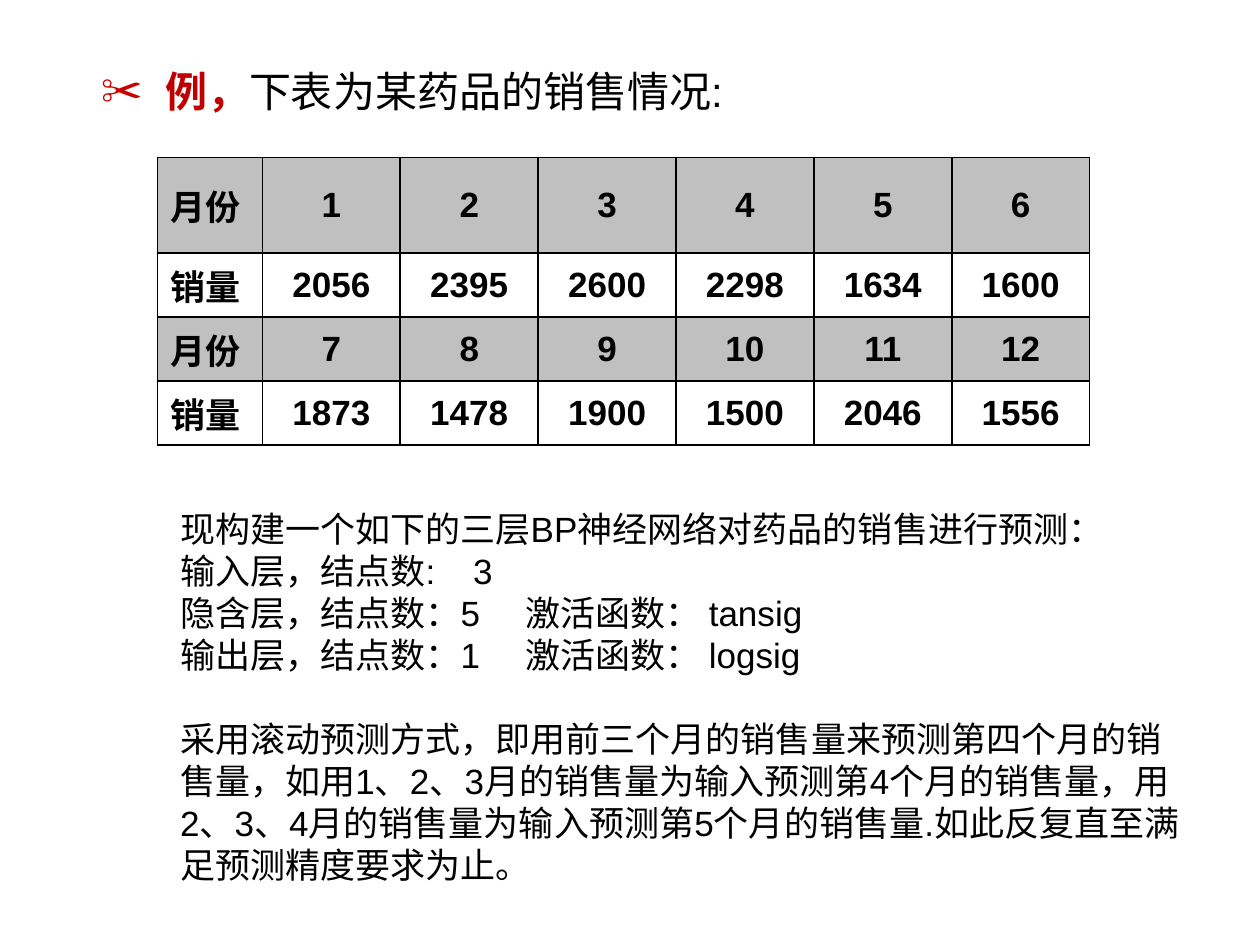
from lxml import etree
from pptx import Presentation
from pptx.dml.color import RGBColor
from pptx.enum.text import MSO_ANCHOR, MSO_AUTO_SIZE, PP_ALIGN
from pptx.oxml.ns import qn
from pptx.util import Pt

MIDDLE, TOP = MSO_ANCHOR.MIDDLE, MSO_ANCHOR.TOP
LEFT, CENTER = PP_ALIGN.LEFT, PP_ALIGN.CENTER
NO_FIT, GROW = MSO_AUTO_SIZE.NONE, MSO_AUTO_SIZE.SHAPE_TO_FIT_TEXT
COLORS = {"text": "000000", "accent": "C00000", "bullet": "CC0000",
          "header": "C0C0C0", "border": "000000"}


def add_text(p, text, size=20, color="text", bold=False):
    r = p.add_run()
    r.text = text
    r.font.name = "Arial"
    r.font.size = Pt(size)
    r.font.bold = bold
    r.font.color.rgb = RGBColor.from_string(COLORS[color])


def add_xml(parent, tag, **attributes):
    return etree.SubElement(parent, qn(tag), attributes)


prs = Presentation()
prs.slide_width, prs.slide_height = Pt(720), Pt(540)
s = prs.slides.add_slide(prs.slide_layouts[1])
title = s.shapes.title
title.element.getparent().remove(title.element)

# Heading with a scissors bullet
heading = s.placeholders[1]
heading.left, heading.top = Pt(50.4), Pt(39.6)
heading.width, heading.height = Pt(635.8), Pt(39.6)
tf = heading.text_frame
tf.auto_size = NO_FIT
tf.vertical_anchor = TOP
p = tf.paragraphs[0]
p.line_spacing = 0.8
p.space_before = Pt(12)
pPr = p._p.get_or_add_pPr()
pPr.set("marL", str(Pt(36.72)))
pPr.set("indent", str(Pt(-36.72)))
add_xml(add_xml(pPr, "a:buClr"), "a:srgbClr", val=COLORS["bullet"])
add_xml(pPr, "a:buFont", typeface="Arial")
add_xml(pPr, "a:buChar", char="✂")
add_text(p, "例，", size=24, color="accent", bold=True)
add_text(p, "下表为某药品的销售情况:", size=24)

# Monthly sales table
sales_rows = [
    ["月份", "1", "2", "3", "4", "5", "6"],
    ["销量", "2056", "2395", "2600", "2298", "1634", "1600"],
    ["月份", "7", "8", "9", "10", "11", "12"],
    ["销量", "1873", "1478", "1900", "1500", "2046", "1556"],
]
table = s.shapes.add_table(4, 7, Pt(90), Pt(90), Pt(532.8), Pt(164.4)).table
for i, column in enumerate(table.columns):
    column.width = Pt(78.8) if i else Pt(60)
for i, row in enumerate(table.rows):
    row.height = Pt(36.6) if i else Pt(54.6)

for i, values in enumerate(sales_rows):
    for j, value in enumerate(values):
        cell = table.cell(i, j)
        cell.vertical_anchor = MIDDLE
        p = cell.text_frame.paragraphs[0]
        p.alignment = CENTER if j else LEFT
        add_text(p, value, bold=True)
        tcPr = cell._tc.get_or_add_tcPr()
        for side in ("a:lnL", "a:lnR", "a:lnT", "a:lnB"):
            ln = add_xml(tcPr, side, w=str(Pt(1.08)))
            add_xml(add_xml(ln, "a:solidFill"), "a:srgbClr", val=COLORS["border"])
        if i % 2 == 0:
            cell.fill.solid()
            cell.fill.fore_color.rgb = RGBColor.from_string(COLORS["header"])
        else:
            cell.fill.background()

# Network description: text, space before, tab stop
description = [
    ("现构建一个如下的三层BP神经网络对药品的销售进行预测：", 0, None),
    ("输入层，结点数:\t3", 0, 167.5),
    ("隐含层，结点数：5\t激活函数： tansig", 0, 197.5),
    ("输出层，结点数：1\t激活函数： logsig", 0, 197.5),
    ("采用滚动预测方式，即用前三个月的销售量来预测第四个月的销售量，"
     "如用1、2、3月的销售量为输入预测第4个月的销售量，"
     "用2、3、4月的销售量为输入预测第5个月的销售量."
     "如此反复直至满足预测精度要求为止。", 24, None),
]
tf = s.shapes.add_textbox(Pt(95.8), Pt(286.6), Pt(590.4), Pt(223.2)).text_frame
tf.word_wrap = True
tf.auto_size = GROW
for i, (text, space, tab) in enumerate(description):
    p = tf.add_paragraph() if i else tf.paragraphs[0]
    p.space_before = Pt(space)
    if tab:
        tabs = add_xml(p._p.get_or_add_pPr(), "a:tabLst")
        add_xml(tabs, "a:tab", pos=str(Pt(tab)), algn="l")
    add_text(p, text)

prs.save("out.pptx")
